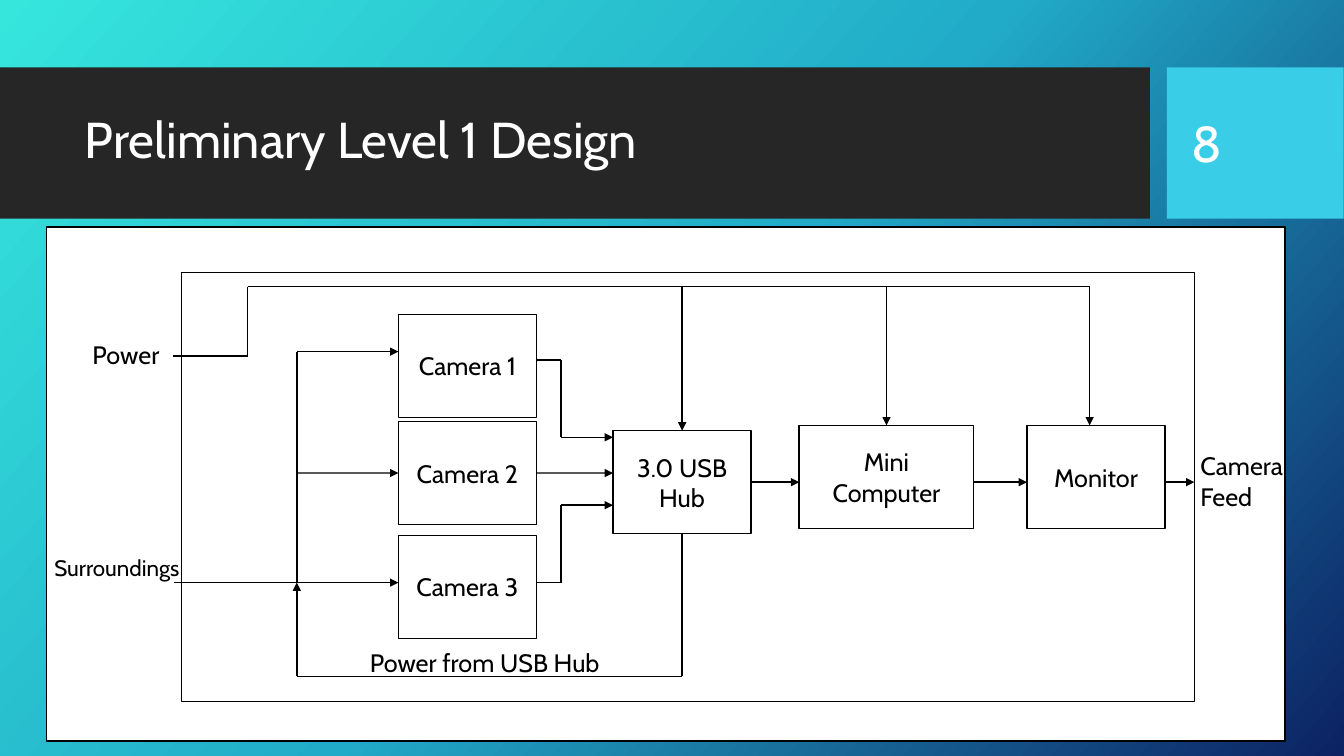
from dataclasses import dataclass

from lxml import etree
from pptx import Presentation, util as u
from pptx.dml.color import RGBColor
from pptx.enum import shapes, text
from pptx.oxml import parse_xml
from pptx.oxml.ns import nsdecls, qn


@dataclass(frozen=True)
class Theme:
    font: str = "Cabin"
    white: str = "FFFFFF"
    black: str = "000000"
    band: str = "262626"
    accent: str = "39CDE7"
    gradient: tuple = ((0, "36E6DD"), (50, "21ABC8"), (100, "0C2263"))
    gradient_angle: int = 42
    title_size: int = 36
    label_size: int = 18
    small_size: int = 16
    line_width: float = 1


THEME = Theme()

# Content: all lengths in centimetres, areas as left, top, width, height
TITLE = ("Preliminary Level 1 Design", (1.88, 2.08, 26.7, 3))
NUMBER = ("8", (29.79, 2.08, 3.2, 3.02))
BANDS = [((0, 1.7, 28.98, 3.81), THEME.band), ((29.41, 1.7, 4.45, 3.81), THEME.accent)]
CANVAS = (1.17, 5.72, 31.22, 12.95)
SYSTEM = (4.57, 6.86, 25.53, 10.82)

BOX_W, BOX_H = 3.48, 2.6
CAMERA_X, DEVICE_Y = 10.04, 10.72
BLOCKS = {
    "Camera 1": (CAMERA_X, 7.92, BOX_W, BOX_H),
    "Camera 2": (CAMERA_X, 10.62, BOX_W, BOX_H),
    "Camera 3": (CAMERA_X, 13.49, BOX_W, BOX_H),
    "3.0 USB Hub": (15.45, 10.85, BOX_W, BOX_H),
    "Mini Computer": (20.14, DEVICE_Y, 4.4, BOX_H),
    "Monitor": (25.88, DEVICE_Y, BOX_W, BOX_H),
}
LABELS = [
    ("Power", (2.08, 8.43, 3.2, 0.94), THEME.label_size),
    ("Surroundings", (1.12, 13.84, 5.13, 0.85), THEME.small_size),
    ("Camera Feed", (30, 11.23, 2.77, 1.6), THEME.label_size),
    ("Power from USB Hub", (9.07, 16.18, 7.34, 0.94), THEME.label_size),
]

# Wires: each path lists (x, y) points or (block, side) joints; True ends it with an arrowhead
TOP, LEFT, BOTTOM, RIGHT = range(4)
POWER_X, POWER_Y, RAIL_Y = 6.24, 8.97, 7.22
VIEW_X, VIEW_Y, RETURN_Y = 7.48, 14.68, 17.04
CAM_RIGHT, HUB_LEFT = CAMERA_X + BOX_W, 15.45
BEND_X, FEED_Y, MONITOR_X = 14.14, 12.15, 27.46
HUB_X, COMPUTER_X = 17.19, 22.34
WIRES = [
    # Power rail
    ([(4.36, POWER_Y), (POWER_X, POWER_Y), (POWER_X, RAIL_Y), (MONITOR_X, RAIL_Y),
      (MONITOR_X, DEVICE_Y)], True),
    ([(HUB_X, RAIL_Y), ("3.0 USB Hub", TOP)], True),
    ([(COMPUTER_X, RAIL_Y), ("Mini Computer", TOP)], True),
    # Surroundings and returned power into the cameras
    ([(4.39, VIEW_Y), (CAMERA_X, VIEW_Y)], True),
    ([(VIEW_X, VIEW_Y), (VIEW_X, 8.86), (CAMERA_X, 8.86)], True),
    ([(VIEW_X, 11.92), ("Camera 2", LEFT)], True),
    ([("3.0 USB Hub", BOTTOM), (HUB_X, RETURN_Y), (VIEW_X, RETURN_Y),
      (VIEW_X, VIEW_Y)], True),
    # Cameras into the hub
    ([(CAM_RIGHT, 9.07), (BEND_X, 9.07), (BEND_X, 11.02), (HUB_LEFT, 11.02)], True),
    ([("Camera 2", RIGHT), (HUB_LEFT, 11.92)], True),
    ([(CAM_RIGHT, VIEW_Y), (BEND_X, VIEW_Y), (BEND_X, 12.73), (HUB_LEFT, 12.73)], True),
    # Hub to screen
    ([("3.0 USB Hub", RIGHT), (20.14, FEED_Y)], True),
    ([(24.54, FEED_Y), (25.88, FEED_Y)], True),
    ([(29.36, FEED_Y), (30.1, FEED_Y)], True),
]


def cm(values):
    return [u.Cm(value) for value in values]


def write(shape, words, *, size=THEME.label_size, color=THEME.black, align="LEFT",
          anchor="MIDDLE", spacing=None):
    frame = shape.text_frame
    frame.word_wrap = True
    frame.auto_size = text.MSO_AUTO_SIZE.NONE
    frame.vertical_anchor = text.MSO_ANCHOR[anchor]
    para = frame.paragraphs[0]
    para.alignment = text.PP_ALIGN[align]
    para.line_spacing = spacing
    span = para.add_run()
    span.text = words
    span.font.name = THEME.font
    span.font.size = u.Pt(size)
    span.font.color.rgb = RGBColor.from_string(color)


def add_box(page, area, fill=None, outlined=True):
    box = page.shapes.add_shape(shapes.MSO_SHAPE.RECTANGLE, *cm(area))
    box.shadow.inherit = False
    if fill:
        box.fill.solid()
        box.fill.fore_color.rgb = RGBColor.from_string(fill)
    else:
        box.fill.background()
    if outlined:
        box.line.color.rgb = RGBColor.from_string(THEME.black)
        box.line.width = u.Pt(THEME.line_width)
    else:
        box.line.fill.background()
    return box


def locate(point):
    if not isinstance(point[0], str):
        return point
    name, side = point
    left, top, width, height = BLOCKS[name]
    return [(left + width / 2, top), (left, top + height / 2),
            (left + width / 2, top + height), (left + width, top + height / 2)][side]


def add_wire(page, boxes, start, end, arrow):
    wire = page.shapes.add_connector(
        shapes.MSO_CONNECTOR.STRAIGHT, *cm(locate(start)), *cm(locate(end)))
    for point, join in ((start, wire.begin_connect), (end, wire.end_connect)):
        if isinstance(point[0], str):
            join(boxes[point[0]], point[1])
    wire.line.color.rgb = RGBColor.from_string(THEME.black)
    wire.line.width = u.Pt(THEME.line_width)
    properties = wire._element.spPr
    if arrow:
        etree.SubElement(properties.find(qn("a:ln")), qn("a:tailEnd"), type="triangle")
    etree.SubElement(properties, qn("a:effectLst"))


def paint_background(page):
    stops = "".join(f'<a:gs pos="{place * 1000}"><a:srgbClr val="{color}"/></a:gs>'
                    for place, color in THEME.gradient)
    fill = page.background.fill
    fill.gradient()
    old = page._element.find(".//" + qn("a:gradFill"))
    old.getparent().replace(old, parse_xml(
        f'<a:gradFill {nsdecls("a")} rotWithShape="1"><a:gsLst>{stops}</a:gsLst>'
        f'<a:lin ang="{THEME.gradient_angle * 60000}" scaled="0"/></a:gradFill>'))


def main():
    deck = Presentation()
    deck.slide_width, deck.slide_height = u.Cm(33.87), u.Cm(19.05)
    page = deck.slides.add_slide(deck.slide_layouts[5])
    paint_background(page)

    # Header bands, title and page number
    for area, color in BANDS:
        add_box(page, area, color, outlined=False)
    title = page.shapes.title
    title._element.getparent().append(title._element)
    words, area = TITLE
    title.left, title.top, title.width, title.height = cm(area)
    write(title, words, size=THEME.title_size, color=THEME.white, spacing=0.9)
    words, area = NUMBER
    write(page.shapes.add_textbox(*cm(area)), words, size=THEME.title_size, color=THEME.white)

    # Diagram blocks
    add_box(page, CANVAS, THEME.white)
    add_box(page, SYSTEM)
    boxes = {}
    for name, area in BLOCKS.items():
        boxes[name] = add_box(page, area, THEME.white)
        write(boxes[name], name, align="CENTER")

    # Wires and labels
    for path, arrow in WIRES:
        last = len(path) - 2
        for step, (start, end) in enumerate(zip(path, path[1:])):
            add_wire(page, boxes, start, end, arrow and step == last)
    for words, area, size in LABELS:
        write(page.shapes.add_textbox(*cm(area)), words, size=size, anchor="TOP")

    deck.save("out.pptx")


if __name__ == "__main__":
    main()
